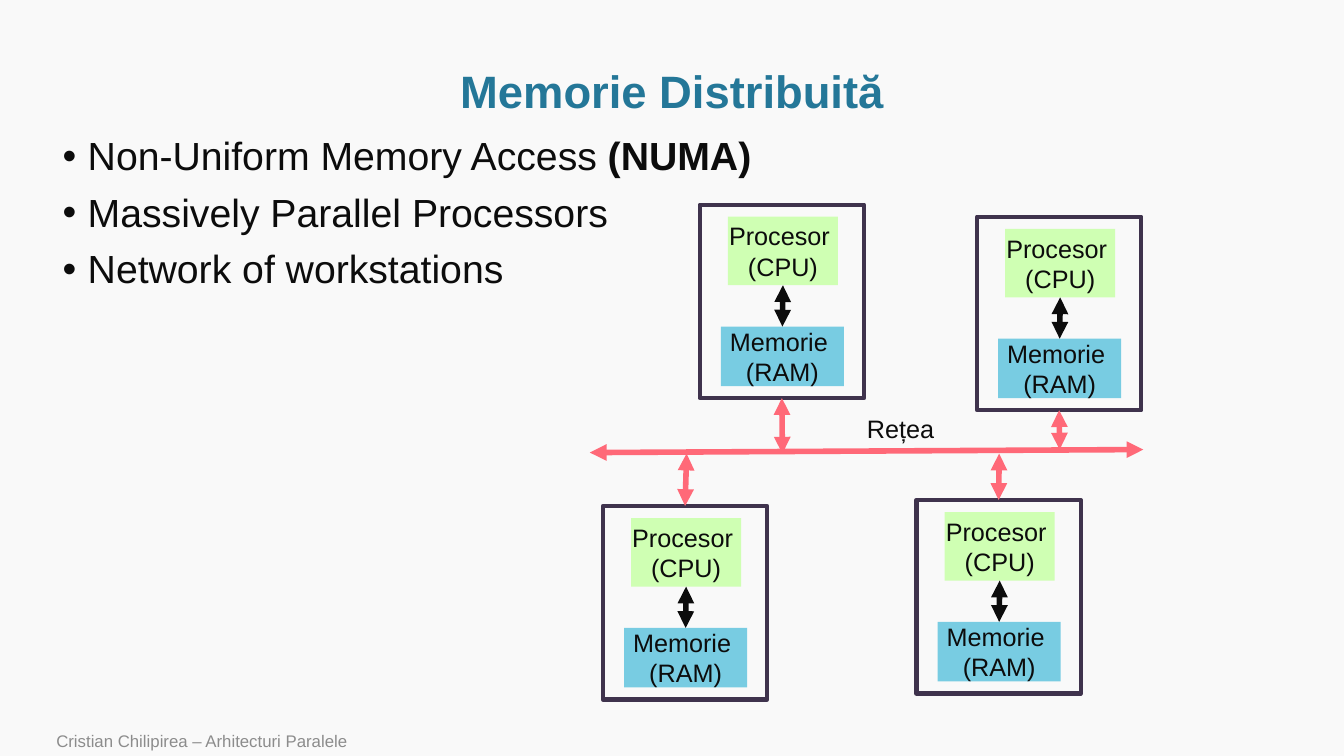
"""Build the slide on distributed memory."""
from pptx import Presentation
from pptx.dml.color import RGBColor
from pptx.enum.shapes import MSO_CONNECTOR as Link, MSO_SHAPE as Shape
from pptx.enum.text import MSO_ANCHOR as Anchor, MSO_AUTO_SIZE as Fit, PP_ALIGN as Align
from pptx.oxml.ns import qn
from pptx.util import Inches, Pt

PAPER = RGBColor(0xF9, 0xF9, 0xF9)
INK = RGBColor(0x0C, 0x0C, 0x0C)
TEAL = RGBColor(0x24, 0x77, 0x98)
GREEN = RGBColor(0xCF, 0xFF, 0xB3)
BLUE = RGBColor(0x78, 0xCC, 0xE2)
PLUM = RGBColor(0x3F, 0x33, 0x4D)
CORAL = RGBColor(0xFF, 0x69, 0x78)
GREY = RGBColor(0x8C, 0x8C, 0x8C)

TOP, BOTTOM = 0, 2
BUS_Y = 4.5
NODES = [
    (6.94, 2.03, BOTTOM, 7.76, BUS_Y),
    (9.69, 2.15, BOTTOM, 10.51, 4.46),
    (5.98, 5.02, TOP, 6.81, BUS_Y),
    (9.09, 4.96, TOP, 9.91, BUS_Y),
]


def style(par, size, color, bold=False):
    for run in par.runs:
        font = run.font
        font.name, font.size, font.bold = "Arial", Pt(size), bold
        font.color.rgb = color


def place(shape, *box):
    shape.left, shape.top, shape.width, shape.height = map(Inches, box)


def add_title(slide, text):
    title = slide.shapes.title
    place(title, 2.01, 0.68, 9.31, 0.5)
    frame = title.text_frame
    frame.text = text
    frame.auto_size = Fit.NONE
    frame.vertical_anchor = Anchor.MIDDLE
    par = frame.paragraphs[0]
    par.alignment, par.line_spacing = Align.CENTER, 0.9
    style(par, 32.4, TEAL, True)


def add_list(slide, items):
    body = slide.placeholders[1]
    place(body, 0.52, 1.31, 12.51, 5.45)
    frame = body.text_frame
    frame.text = "\n".join(items)
    frame.auto_size = Fit.NONE
    for i, par in enumerate(frame.paragraphs):
        props = par._p.get_or_add_pPr()
        props.set("marL", str(Inches(0.25)))
        props.set("indent", str(Inches(-0.25)))
        props.append(props.makeelement(qn("a:buChar"), {"char": "•"}))
        par.line_spacing = 0.9
        par.space_before = Pt(10 if i else 0)
        style(par, 28, INK)
    first = frame.paragraphs[0]
    first.add_run().text = "(NUMA)"
    style(first, 28, INK)
    first.runs[-1].font.bold = True


def add_rect(slide, *box):
    rect = slide.shapes.add_shape(Shape.RECTANGLE, *map(Inches, box))
    rect.shadow.inherit = False
    return rect


def add_block(slide, text, color, *box):
    block = add_rect(slide, *box)
    block.fill.solid()
    block.fill.fore_color.rgb = color
    block.line.fill.background()
    frame = block.text_frame
    frame.text = text
    frame.word_wrap = False
    frame.vertical_anchor = Anchor.MIDDLE
    for par in frame.paragraphs:
        par.alignment = Align.CENTER
        style(par, 18, INK)
    return block


def add_arrow(slide, color, *ends):
    arrow = slide.shapes.add_connector(Link.STRAIGHT, *map(Inches, ends))
    arrow.line.color.rgb = color
    arrow.line.width = Pt(4)
    line = arrow.line._get_or_add_ln()
    for tag in ("a:headEnd", "a:tailEnd"):
        line.append(line.makeelement(qn(tag), {"type": "triangle"}))
    props = arrow._element.spPr
    props.append(props.makeelement(qn("a:effectLst"), {}))
    return arrow


def add_node(slide, x, y, side, bus_x, bus_y):
    ram = add_block(slide, "Memorie \n(RAM)", BLUE, x + 0.21, y + 1.21, 1.22, 0.59)
    cpu = add_block(slide, "Procesor \n(CPU)", GREEN, x + 0.28, y + 0.12, 1.09, 0.68)
    mid = x + 0.82
    inner = add_arrow(slide, INK, mid, y + 0.8, mid, y + 1.21)
    inner.begin_connect(cpu, BOTTOM)
    inner.end_connect(ram, TOP)
    frame = add_rect(slide, x, y, 1.63, 1.92)
    frame.fill.background()
    frame.line.color.rgb = PLUM
    frame.line.width = Pt(3)
    edge = y + 1.92 if side == BOTTOM else y
    outer = add_arrow(slide, CORAL, mid, edge, bus_x, bus_y)
    outer.begin_connect(frame, side)


def add_label(slide, text, size, color, anchor, wrap, *box):
    frame = slide.shapes.add_textbox(*map(Inches, box)).text_frame
    frame.text = text
    frame.word_wrap = wrap
    frame.vertical_anchor = anchor
    style(frame.paragraphs[0], size, color)


def main():
    deck = Presentation()
    deck.slide_width, deck.slide_height = Inches(13.33), Inches(7.5)
    slide = deck.slides.add_slide(deck.slide_layouts[1])
    fill = slide.background.fill
    fill.solid()
    fill.fore_color.rgb = PAPER
    add_title(slide, "Memorie Distribuită")
    add_list(slide, [
        "Non-Uniform Memory Access ",
        "Massively Parallel Processors",
        "Network of workstations",
    ])
    for node in NODES:
        add_node(slide, *node)
    add_arrow(slide, CORAL, 11.34, 4.46, 5.85, 4.49)
    add_label(slide, "Rețea", 18, INK, Anchor.TOP, False, 8.5, 4.05, 0.88, 0.4)
    add_label(slide, "Cristian Chilipirea – Arhitecturi Paralele", 12, GREY,
              Anchor.BOTTOM, True, 0.46, 7.22, 9.82, 0.28)
    deck.save("out.pptx")


if __name__ == "__main__":
    main()
